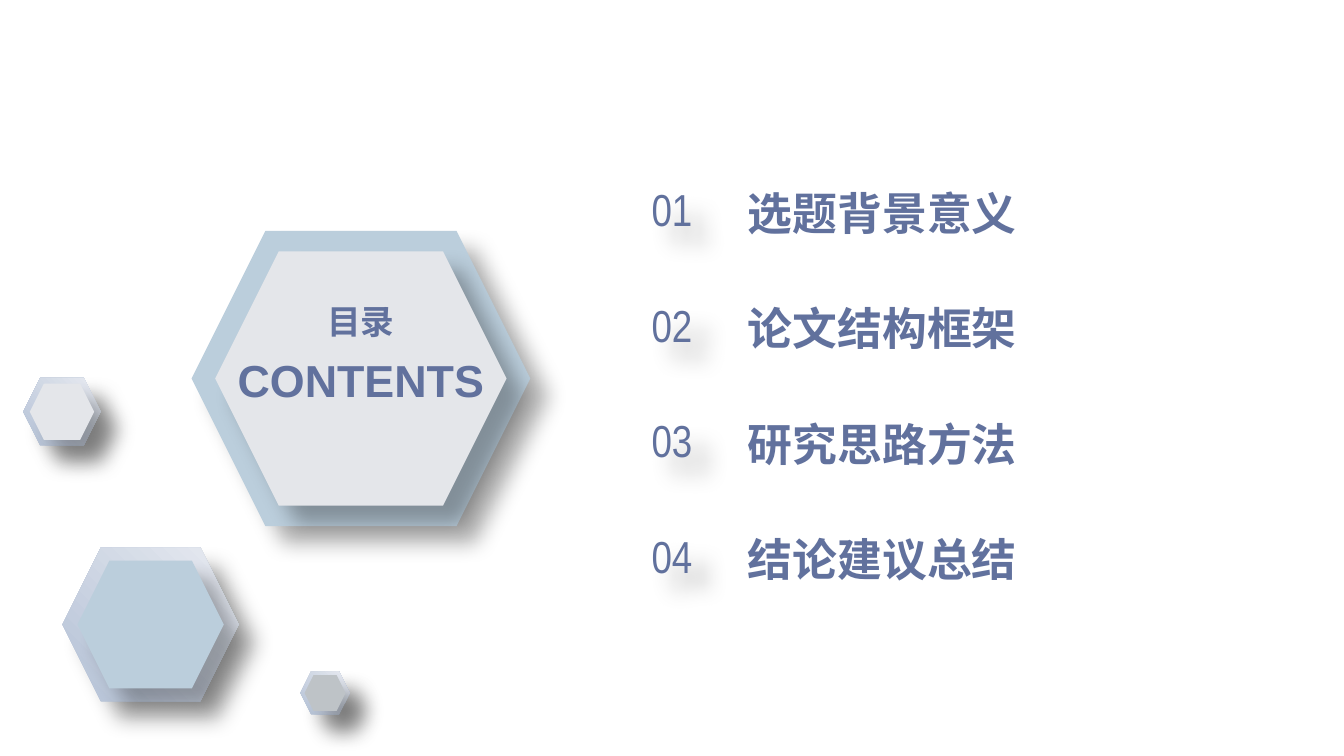
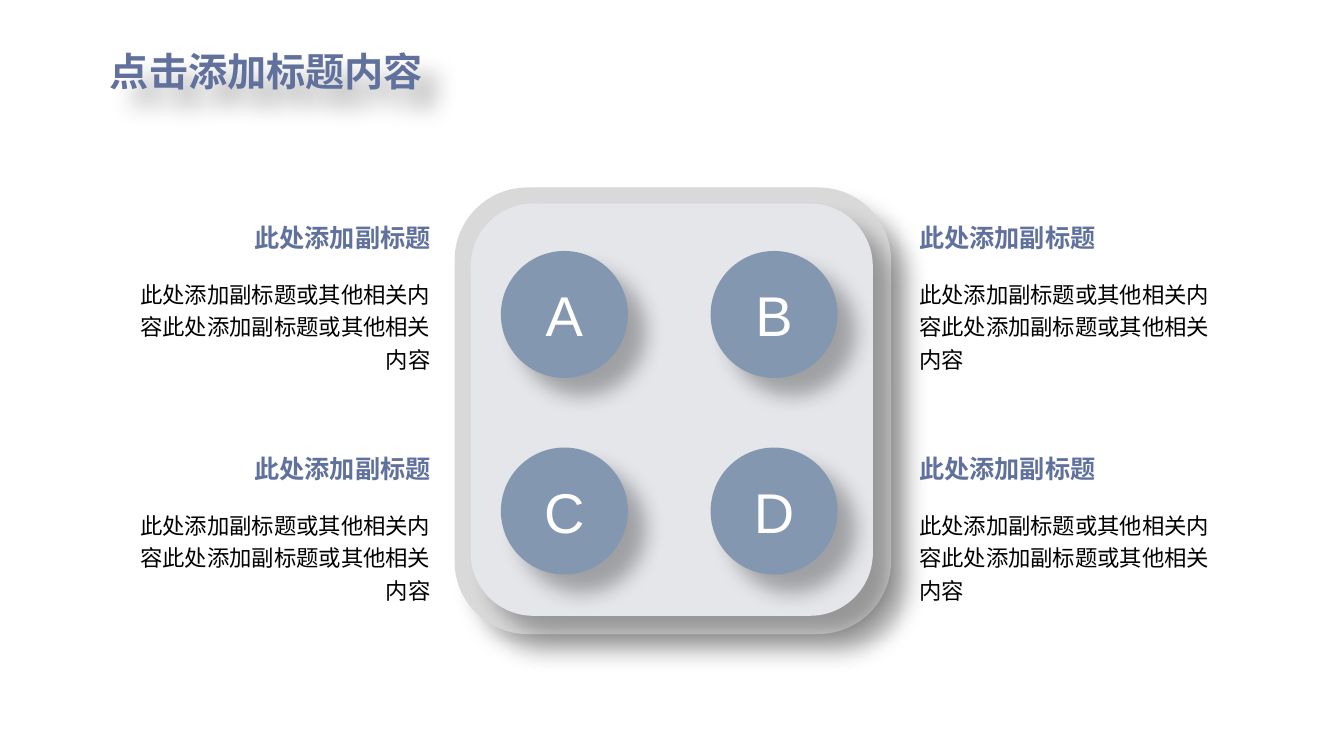
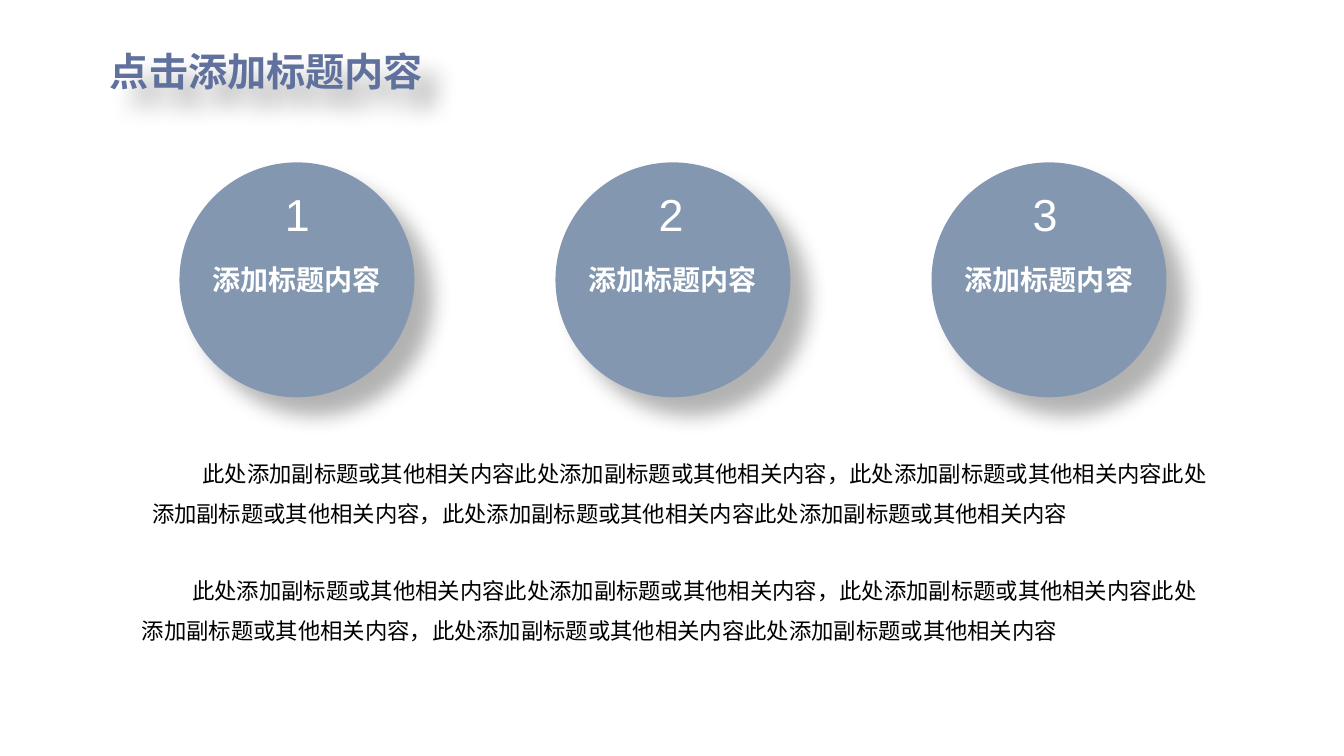
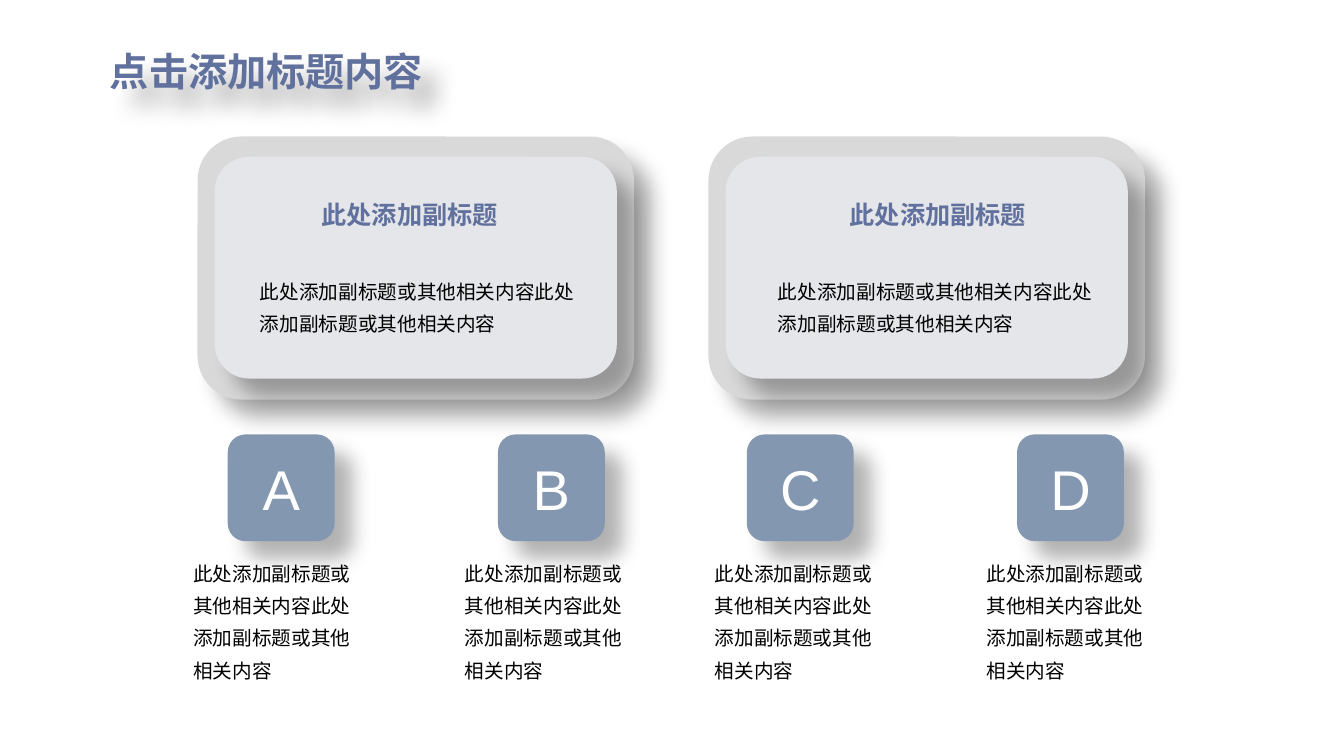
"""Build four slides: a hexagon contents page and three content pages."""
from copy import deepcopy
from dataclasses import dataclass
from itertools import product

from lxml.etree import SubElement
from pptx import Presentation
from pptx.dml.color import RGBColor
from pptx.enum.shapes import MSO_SHAPE as Kind
from pptx.enum.text import MSO_ANCHOR as Anchor, MSO_AUTO_SIZE as Fit, PP_ALIGN as Align
from pptx.oxml import parse_xml
from pptx.oxml.ns import nsdecls, qn
from pptx.util import Pt


@dataclass(frozen=True)
class Theme:
    ink: str = "61719D"
    text: str = "000000"
    white: str = "FFFFFF"
    steel: str = "8497B0"
    sky: str = "BBCEDC"
    pale: str = "E4E6EA"
    rim: str = "D9D9D9"
    ash: str = "BEC3C7"
    fade: tuple = ("B4C1D6", "E8EBF1")
    font: str = "Arial"
    thin: str = "Arial Narrow"
    mark: int = 40
    large: int = 32
    title: int = 28
    mid: int = 24
    label: int = 20
    head: int = 18
    body: int = 16
    small: int = 14
    lead: int = 23
    curve: float = 0.156


look = Theme()
shade = parse_xml(
    f'<a:effectLst {nsdecls("a")}><a:outerShdw blurRad="190500" dist="228600" dir="2700000" '
    'algn="tl" rotWithShape="0"><a:srgbClr val="000000"><a:alpha val="30000"/></a:srgbClr>'
    '</a:outerShdw></a:effectLst>')


def put(slide, kind, box, fill, curve=None):
    shape = slide.shapes.add_shape(kind, *map(Pt, box))
    if isinstance(fill, tuple):
        shape.fill.gradient()
        shape.fill.gradient_angle = 45
        for stop, tone in zip(shape.fill.gradient_stops, fill):
            stop.color.rgb = RGBColor.from_string(tone)
    else:
        shape.fill.solid()
        shape.fill.fore_color.rgb = RGBColor.from_string(fill)
    shape.line.fill.background()
    shape.element.spPr.append(deepcopy(shade))
    if curve:
        shape.adjustments[0] = curve
    return shape


def write(shape, text, size, color=look.text, bold=False, align=Align.LEFT,
          anchor=Anchor.TOP, font=look.font, lead=None, gap=0):
    frame = shape.text_frame
    frame.text = text
    frame.word_wrap = True
    frame.auto_size = Fit.NONE
    frame.vertical_anchor = anchor
    for i, par in enumerate(frame.paragraphs):
        par.alignment = align
        par.space_before = Pt(gap if i else 0)
        if lead:
            par.line_spacing = lead
        for run in par.runs:
            run.font.name = font
            run.font.size = Pt(size)
            run.font.bold = bold
            run.font.color.rgb = RGBColor.from_string(color)


deck = Presentation()
deck.slide_width, deck.slide_height = Pt(960), Pt(540)
plain = deck.slide_layouts[5]
spot = plain.placeholders[0]
spot.left, spot.top, spot.width, spot.height = map(Pt, (71.3, 30.2, 260, 41))

head = "此处添加副标题"
note = "此处添加副标题或其他相关内容" * 2
long = "，".join([note] * 3)

menu = deck.slides.add_slide(deck.slide_layouts[1])
hexes = [
    (257.8, 270.4, 242, 0.86, look.sky, look.pale),
    (107.6, 446.1, 126, 0.83, look.fade, look.sky),
    (44.3, 294.1, 55.4, 0.83, look.fade, look.pale),
    (232.2, 495, 35.3, 0.83, look.fade, look.ash),
]
for x, y, size, ratio, outer, inner in hexes:
    for wide, fill in ((size, outer), (size * ratio, inner)):
        high = wide * 0.872
        put(menu, Kind.HEXAGON, (x - wide / 2, y - high / 2, wide, high), fill)

title, items = menu.placeholders[0], menu.placeholders[1]
title.left, title.top, title.width, title.height = map(Pt, (157.8, 211, 200, 36))
write(title, "目录", look.mid, look.ink, True, Align.CENTER)
word = menu.shapes.add_textbox(*map(Pt, (157.8, 248.4, 200, 46)))
write(word, "CONTENTS", look.large, look.ink, True, Align.CENTER)
for shape in (title, items):
    tree = shape.element.getparent()
    tree.append(shape.element)

step, line = 82.5, 39
items.left, items.top, items.width, items.height = map(Pt, (527, 128.2, 220, 300))
topics = ["选题背景意义", "论文结构框架", "研究思路方法", "结论建议总结"]
write(items, "\n".join(topics), look.large, look.ink, True, lead=Pt(line), gap=step - line)
for par in items.text_frame.paragraphs:
    props = par._p.get_or_add_pPr()
    props.set("marL", "0")
    props.set("indent", "0")
    SubElement(props, qn("a:buNone"))
for i in range(len(topics)):
    num = menu.shapes.add_textbox(*map(Pt, (456, 126 + i * step, 48, 46)))
    write(num, f"{i + 1:02}", look.large, look.ink, align=Align.CENTER,
          anchor=Anchor.MIDDLE, font=look.thin)
    num.element.spPr.append(deepcopy(shade))

pages = [deck.slides.add_slide(plain) for _ in range(3)]
for page in pages:
    title = page.shapes.title
    write(title, "点击添加标题内容", look.title, look.ink, True)
    title.fill.background()
    title.element.spPr.append(deepcopy(shade))
grid, trio, cards = pages

put(grid, Kind.ROUNDED_RECTANGLE, (324.7, 133.9, 311.8, 319), look.rim)
put(grid, Kind.ROUNDED_RECTANGLE, (336.2, 145.4, 287.3, 294.5), look.pale, look.curve)
for mark, (row, col) in zip("ABCD", product(range(2), repeat=2)):
    disc = put(grid, Kind.OVAL, (357.8 + col * 149.8, 179.3 + row * 140.4, 90.7, 90.7), look.steel)
    write(disc, mark, look.mark, look.white, align=Align.CENTER, anchor=Anchor.MIDDLE)
    side = Align.LEFT if col else Align.RIGHT
    left, top = (92.2, 649.4)[col], 155.5 + row * 165
    name = grid.shapes.add_textbox(*map(Pt, (left, top, 222.5, 29)))
    write(name, head, look.head, look.ink, True, side)
    body = grid.shapes.add_textbox(*map(Pt, (left, top + 38.2, 222.5, 77)))
    write(body, note, look.body, align=side, lead=Pt(look.lead))

for i in range(3):
    left = 128.2 + i * 268.6
    put(trio, Kind.OVAL, (left, 116, 167.8, 167.8), look.steel)
    label = trio.shapes.add_textbox(*map(Pt, (left - 7.6, 174.2, 183, 51)))
    write(label, "添加标题内容", look.label, look.white, True, Align.CENTER, Anchor.MIDDLE)
    num = trio.shapes.add_textbox(*map(Pt, (195.8 + i * 267.1, 129.6, 33.1, 46)))
    write(num, str(i + 1), look.large, look.white, align=Align.CENTER)
for left, top in ((101.5, 315.4), (94.3, 398.9)):
    body = trio.shapes.add_textbox(*map(Pt, (left, top, 771, 62)))
    write(body, long, look.body, lead=1.5)
    body.text_frame.paragraphs[0]._p.get_or_add_pPr().set("indent", str(Pt(36)))

for i in range(2):
    left = 141.1 + i * 365
    put(cards, Kind.ROUNDED_RECTANGLE, (left, 97.5, 311.8, 187.9), look.rim)
    put(cards, Kind.ROUNDED_RECTANGLE, (left + 12.2, 112, 287.3, 158.4), look.pale, look.curve)
    name = cards.shapes.add_textbox(*map(Pt, (221.8 + i * 377.3, 139, 141.8, 29)))
    write(name, head, look.head, look.ink, True, Align.CENTER)
    name.text_frame.word_wrap = False
    body = cards.shapes.add_textbox(*map(Pt, (178.6 + i * 370, 190, 243.4, 51)))
    write(body, note, look.small, lead=Pt(look.lead))
for mark, (half, odd) in zip("ABCD", product(range(2), repeat=2)):
    box = (162.7 + half * 370.8 + odd * 193, 310.3, 76.3, 76.3)
    tile = put(cards, Kind.ROUNDED_RECTANGLE, box, look.steel)
    write(tile, mark, look.mark, look.white, align=Align.CENTER, anchor=Anchor.MIDDLE)
    body = cards.shapes.add_textbox(*map(Pt, (131 + half * 372.5 + odd * 194, 391.7, 137.5, 100)))
    write(body, note, look.small, lead=Pt(look.lead))

deck.save("out.pptx")
